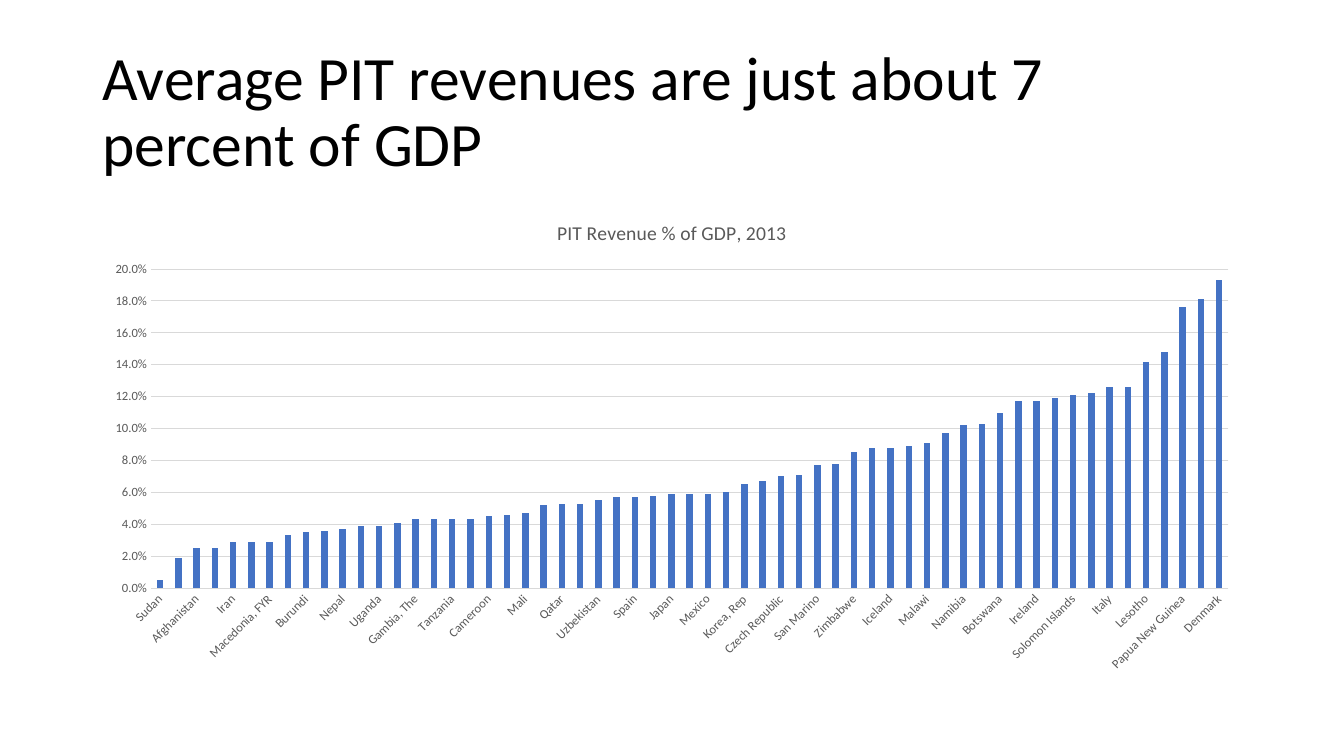
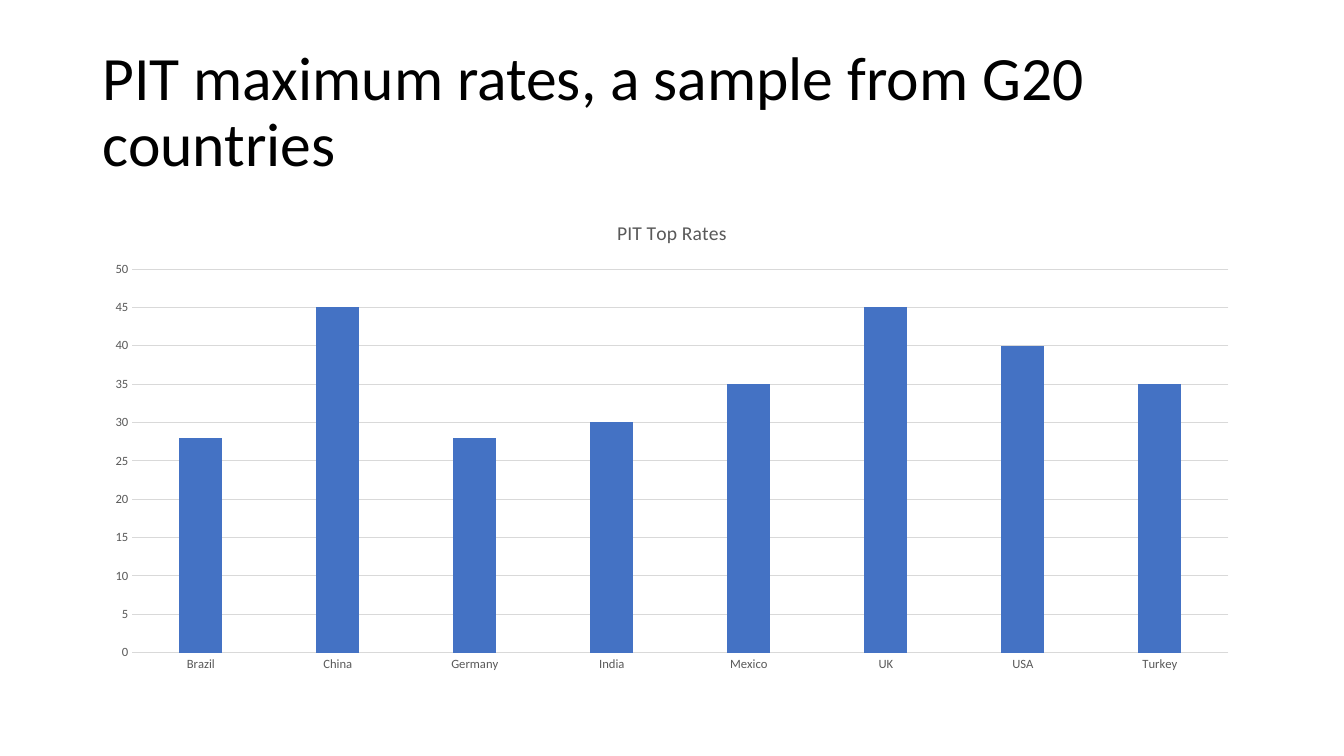
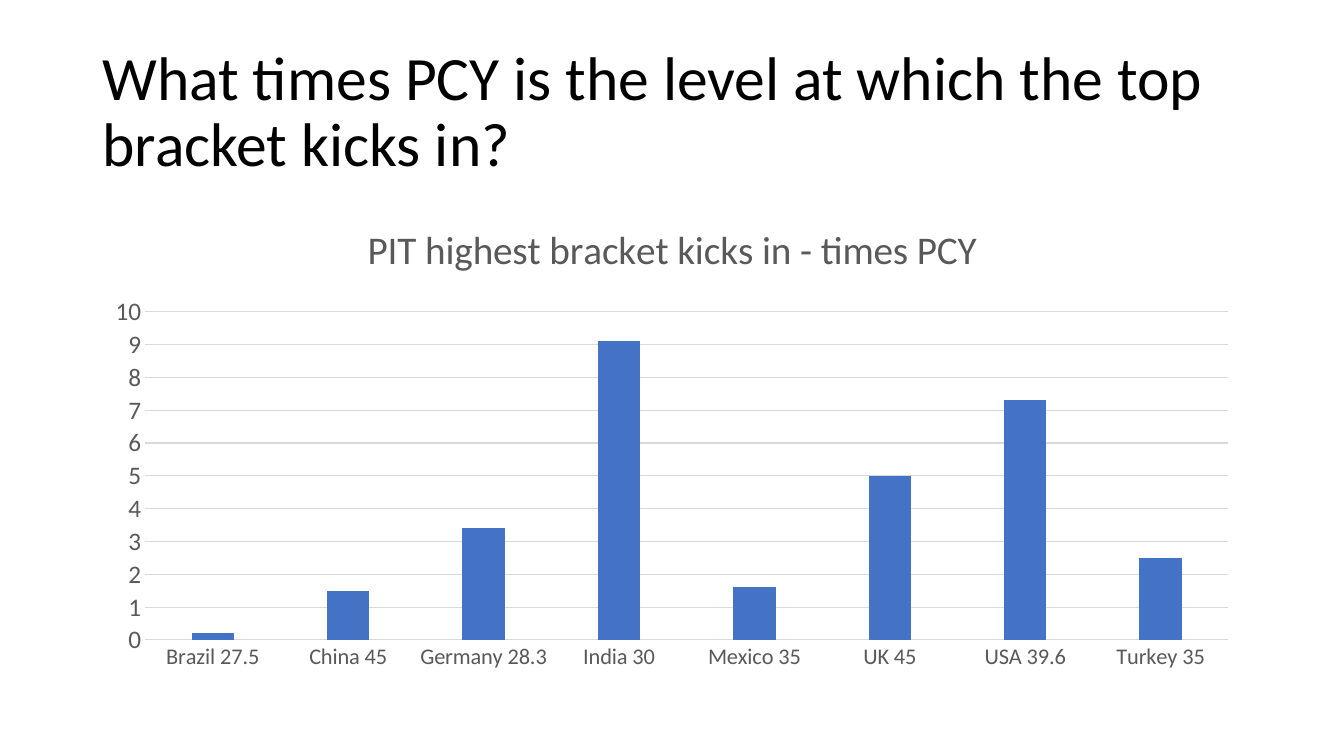
import pptx
import pptx.chart.data
import pptx.dml.color
import pptx.enum.chart
import pptx.enum.text
import pptx.util

Pt = pptx.util.Pt
FONT = "Calibri"
BLACK, GRAY, GRID, BLUE = "000000", "595959", "D9D9D9", "4472C4"
LEFT, WIDTH = Pt(66), Pt(828)


def color(hex_string):
    return pptx.dml.color.RGBColor.from_string(hex_string)


def write_text(text_frame, text, size, font_color, line_spacing=None):
    text_frame.text = text
    paragraph = text_frame.paragraphs[0]
    paragraph.alignment = pptx.enum.text.PP_ALIGN.LEFT
    paragraph.line_spacing = line_spacing
    font = paragraph.runs[0].font
    font.name, font.size, font.bold = FONT, Pt(size), False
    font.color.rgb = color(font_color)


revenue = {
    "Sudan": 0.005, "Madagascar": 0.019, "Afghanistan": 0.025, "Paraguay": 0.025,
    "Iran": 0.029, "Jordan": 0.029, "Macedonia, FYR": 0.029, "Benin": 0.033,
    "Burundi": 0.035, "Switzerland": 0.036, "Nepal": 0.037, "Tonga": 0.039,
    "Uganda": 0.039, "Pakistan": 0.041, "Gambia, The": 0.043, "Sierra Leone": 0.043,
    "Tanzania": 0.043, "Mauritius": 0.043, "Cameroon": 0.045, "Germany": 0.046,
    "Mali": 0.047, "Seychelles": 0.052, "Qatar": 0.053, "Senegal": 0.053,
    "Uzbekistan": 0.055, "Finland": 0.057, "Spain": 0.057, "St. Vincent and G": 0.058,
    "Japan": 0.059, "France": 0.059, "Mexico": 0.059, "Turkey": 0.06,
    "Korea, Rep": 0.065, "Egypt": 0.067, "Czech Republic": 0.07, "Barbados": 0.071,
    "San Marino": 0.077, "Kenya": 0.078, "Zimbabwe": 0.085, "Aruba": 0.088,
    "Iceland": 0.088, "Canada": 0.089, "Malawi": 0.091, "United States": 0.097,
    "Namibia": 0.102, "Portugal": 0.103, "Botswana": 0.11, "United Kingdom": 0.117,
    "Ireland": 0.117, "Mozambique": 0.119, "Solomon Islands": 0.121, "Austria": 0.122,
    "Italy": 0.126, "Luxembourg": 0.126, "Lesotho": 0.142, "Belgium": 0.148,
    "Papua New Guinea": 0.176, "New Zealand": 0.181, "Denmark": 0.193,
}
top_rates = {
    "Brazil": 28, "China": 45, "Germany": 28, "India": 30,
    "Mexico": 35, "UK": 45, "USA": 40, "Turkey": 35,
}
bracket_levels = {
    "Brazil 27.5": 0.2, "China 45": 1.5, "Germany 28.3": 3.4, "India 30": 9.1,
    "Mexico 35": 1.6, "UK 45": 5, "USA 39.6": 7.3, "Turkey 35": 2.5,
}

pages = [
    dict(title="Average PIT revenues are just about 7 percent of GDP",
         chart_title="PIT Revenue % of GDP, 2013", values=revenue,
         title_size=14, category_size=9, value_size=9, number_format="0.0%",
         maximum=0.2, step=0.02, gap=182, overlap=0, rotation=-45),
    dict(title="PIT maximum rates, a sample from G20 countries",
         chart_title="PIT Top Rates", values=top_rates,
         title_size=14, category_size=9, value_size=9, number_format="General",
         maximum=50, step=5, gap=219, overlap=-27, rotation=0),
    dict(title="What times PCY is the level at which the top bracket kicks in?",
         chart_title="PIT highest bracket kicks in - times PCY", values=bracket_levels,
         title_size=28, category_size=16, value_size=18, number_format="#,##0",
         maximum=10, step=1, gap=219, overlap=-27, rotation=0),
]

presentation = pptx.Presentation()
presentation.slide_width, presentation.slide_height = Pt(960), Pt(540)

for page in pages:
    slide = presentation.slides.add_slide(presentation.slide_layouts[5])
    title = slide.shapes.title
    title.left, title.top, title.width, title.height = LEFT, Pt(28.75), WIDTH, Pt(104.4)
    title.text_frame.word_wrap = True
    title.text_frame.auto_size = pptx.enum.text.MSO_AUTO_SIZE.NONE
    title.text_frame.vertical_anchor = pptx.enum.text.MSO_ANCHOR.MIDDLE
    write_text(title.text_frame, page["title"], size=44, font_color=BLACK, line_spacing=0.9)

    chart_data = pptx.chart.data.CategoryChartData(number_format=page["number_format"])
    chart_data.categories = page["values"].keys()
    chart_data.add_series("Series 1", page["values"].values())
    chart = slide.shapes.add_chart(
        pptx.enum.chart.XL_CHART_TYPE.COLUMN_CLUSTERED,
        LEFT, Pt(143.75), WIDTH, Pt(342.6), chart_data).chart
    chart.has_legend = False
    chart.font.name, chart.font.size = FONT, Pt(10)
    chart.font.color.rgb = color(BLACK)
    chart.has_title = True
    chart.chart_title.include_in_layout = False
    write_text(chart.chart_title.text_frame, page["chart_title"],
               size=page["title_size"], font_color=GRAY)

    plot = chart.plots[0]
    plot.vary_by_categories = False
    plot.gap_width, plot.overlap = page["gap"], page["overlap"]
    fill = plot.series[0].format.fill
    fill.solid()
    fill.fore_color.rgb = color(BLUE)

    category_axis, value_axis = chart.category_axis, chart.value_axis
    for axis, size in ((category_axis, page["category_size"]), (value_axis, page["value_size"])):
        axis.major_tick_mark = axis.minor_tick_mark = pptx.enum.chart.XL_TICK_MARK.NONE
        font = axis.tick_labels.font
        font.name, font.size = FONT, Pt(size)
        font.color.rgb = color(GRAY)
    if page["rotation"]:
        category_axis._element.txPr.bodyPr.set("rot", str(page["rotation"] * 60000))

    value_axis.minimum_scale, value_axis.maximum_scale = 0, page["maximum"]
    value_axis.major_unit = page["step"]
    value_axis.tick_labels.number_format = page["number_format"]
    value_axis.tick_labels.number_format_is_linked = False
    value_axis.format.line.fill.background()
    value_axis.has_major_gridlines = True
    for line in (category_axis.format.line, value_axis.major_gridlines.format.line):
        line.color.rgb = color(GRID)
        line.width = Pt(0.75)

presentation.save("out.pptx")
